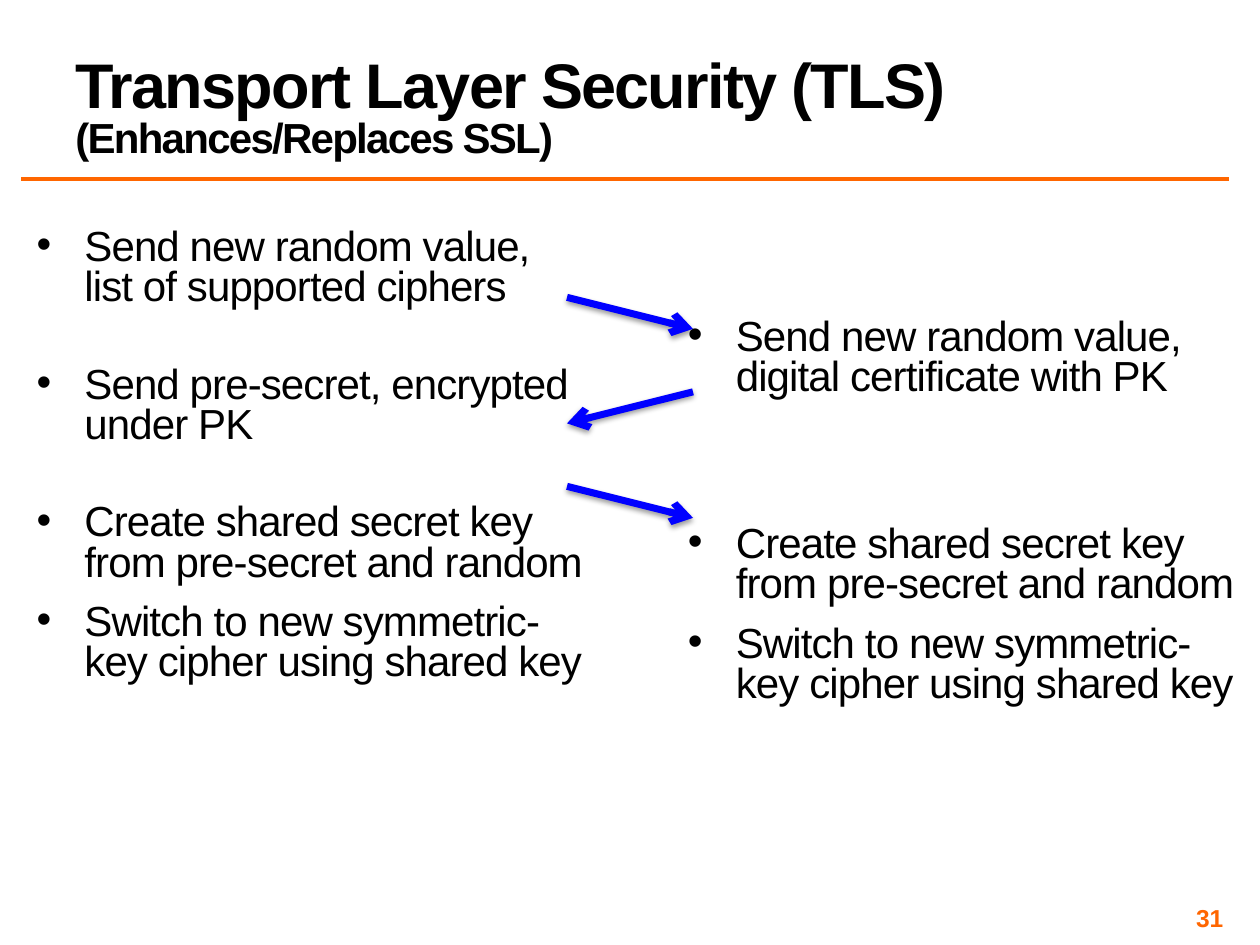
from lxml.etree import SubElement
from pptx import Presentation
from pptx.dml.color import RGBColor
from pptx.enum.shapes import MSO_CONNECTOR
from pptx.enum.text import MSO_ANCHOR, PP_ALIGN
from pptx.oxml.ns import qn
from pptx.util import Inches, Pt

BLACK = RGBColor(0x00, 0x00, 0x00)
ORANGE = RGBColor(0xFF, 0x66, 0x00)
BLUE = RGBColor(0x00, 0x00, 0xFF)
FONT = "Arial"
SHARED_STEPS = [
    "Create shared secret key from pre-secret and random",
    "Switch to new symmetric-key cipher using shared key",
]
CLIENT_STEPS = [
    "Send new random value, list of supported ciphers",
    "Send pre-secret, encrypted under PK",
    *SHARED_STEPS,
]
SERVER_STEPS = ["Send new random value, digital certificate with PK", *SHARED_STEPS]


def add_box(page, left, top, width, height, inset=0.04, anchor=MSO_ANCHOR.TOP):
    """Add a wrapping text box and return its text frame."""
    box = page.shapes.add_textbox(Inches(left), Inches(top), Inches(width), Inches(height))
    frame = box.text_frame
    frame.word_wrap = True
    frame.vertical_anchor = anchor
    frame.margin_top = frame.margin_bottom = Inches(min(inset, 0.05))
    frame.margin_left = frame.margin_right = Inches(inset)
    return frame


def add_span(para, text, size, color=BLACK, bold=False, tracking=0):
    """Add one run of text, with letter spacing in points."""
    span = para.add_run()
    span.text = text
    span.font.name = FONT
    span.font.size = Pt(size)
    span.font.bold = bold
    span.font.color.rgb = color
    if tracking:
        span._r.get_or_add_rPr().set("spc", str(int(tracking * 100)))


def add_line(page, start, end, color, width):
    """Add a straight line and return it with its empty effect list."""
    line = page.shapes.add_connector(MSO_CONNECTOR.STRAIGHT, *map(Inches, start + end))
    line.line.color.rgb = color
    line.line.width = Pt(width)
    effects = SubElement(line._element.spPr, qn("a:effectLst"))
    return line, effects


def add_title(page, left, top, width, height):
    """Place the two-line title at the bottom of its box."""
    frame = add_box(page, left, top, width, height, 0.1, MSO_ANCHOR.BOTTOM)
    para = frame.paragraphs[0]
    para.line_spacing = 0.8
    add_span(para, "Transport Layer Security (TLS)", 36, bold=True, tracking=-1)
    para.add_line_break()
    add_span(para, "(Enhances/Replaces SSL)", 24, bold=True, tracking=-1)


def add_steps(page, left, top, width, height, steps, gaps):
    """Place a bulleted column with the given gap in points before each step."""
    frame = add_box(page, left, top, width, height)
    for index, (step, gap) in enumerate(zip(steps, gaps)):
        para = frame.add_paragraph() if index else frame.paragraphs[0]
        properties = para._p.get_or_add_pPr()
        properties.set("marL", str(Inches(0.38)))
        properties.set("indent", str(-Inches(0.38)))
        SubElement(properties, qn("a:buFont"), typeface=FONT)
        SubElement(properties, qn("a:buChar"), char="•")
        para.line_spacing = 0.8
        para.space_before = Pt(gap)
        add_span(para, step, 24, tracking=-0.5)


def add_message_arrows(page, left, top, width, drop, pitch):
    """Place three arrows that alternate between the two columns."""
    for index in range(3):
        start_x, end_x = (left + width, left) if index % 2 else (left, left + width)
        start_y = top + index * pitch
        arrow, effects = add_line(page, (start_x, start_y), (end_x, start_y + drop), BLUE, 4)
        SubElement(arrow.line._get_or_add_ln(), qn("a:tailEnd"), type="arrow")
        shadow = SubElement(effects, qn("a:outerShdw"), blurRad=str(Pt(3.1)),
                            dist=str(Pt(1.6)), dir="5400000", rotWithShape="0")
        color = SubElement(shadow, qn("a:srgbClr"), val=str(BLACK))
        SubElement(color, qn("a:alpha"), val="38000")


def add_page_number(page, left, top, width, height):
    """Place the page number at the right of its box."""
    para = add_box(page, left, top, width, height, anchor=MSO_ANCHOR.MIDDLE).paragraphs[0]
    para.alignment = PP_ALIGN.RIGHT
    add_span(para, "31", 14, ORANGE, bold=True)


def main():
    """Build the slide and save it."""
    deck = Presentation()
    deck.slide_width, deck.slide_height = Inches(10), Inches(7.5)
    page = deck.slides.add_slide(deck.slide_layouts[6])
    add_line(page, (0.17, 1.42), (9.75, 1.42), ORANGE, 2)
    add_title(page, 0.5, 0.08, 9, 1.25)
    add_steps(page, 0.25, 1.78, 4.42, 4.95, CLIENT_STEPS, [0, 32.5, 32.5, 11])
    add_steps(page, 5.42, 2.49, 4.42, 4.24, SERVER_STEPS, [0, 72.5, 11])
    add_page_number(page, 7.42, 7.17, 2.33, 0.23)
    add_message_arrows(page, 4.5, 2.36, 1, 0.25, 0.75)
    deck.save("out.pptx")


if __name__ == "__main__":
    main()
